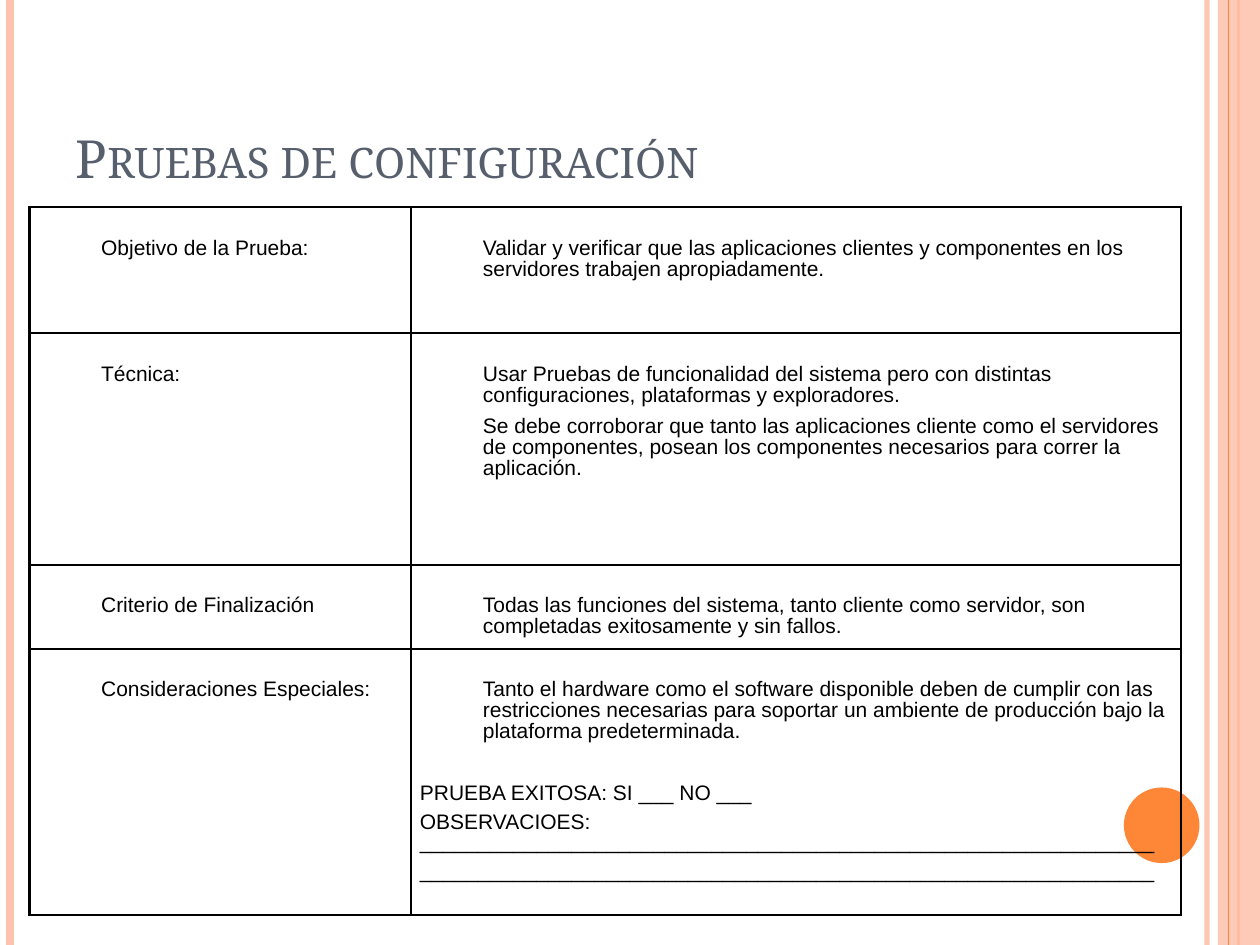
from dataclasses import dataclass
from typing import NamedTuple

from lxml import etree
from pptx import Presentation
from pptx.dml.color import RGBColor
from pptx.enum.shapes import MSO_CONNECTOR, MSO_SHAPE
from pptx.enum.text import MSO_ANCHOR, MSO_AUTO_SIZE, PP_ALIGN
from pptx.oxml.ns import qn
from pptx.util import Pt

LINE = MSO_CONNECTOR.STRAIGHT
RECT = MSO_SHAPE.RECTANGLE
OVAL = MSO_SHAPE.OVAL
LEFT = PP_ALIGN.LEFT
TOP = MSO_ANCHOR.TOP
BOTTOM = MSO_ANCHOR.BOTTOM
FIXED = MSO_AUTO_SIZE.NONE


@dataclass(frozen=True)
class Theme:
    peach: str = "FEC3AE"
    orange: str = "FE8637"
    slate: str = "575F6D"
    ink: str = "000000"
    head: str = "Noto Serif"
    body: str = "Arial"
    big: float = 30
    small: float = 12
    thin: float = 1
    thick: float = 1.5


class Stripe(NamedTuple):
    x: float
    width: float
    color: str
    alpha: int = 100


class Block(NamedTuple):
    kind: int
    box: tuple[float, float, float, float]
    color: str
    alpha: int = 100


class Para(NamedTuple):
    text: str
    indent: float = 36
    lead: float = 12
    before: float = 0


class Row(NamedTuple):
    height: float
    label: str
    paras: list[Para]


T = Theme()
WIDE, HIGH = 720, 540
BACK = [
    Stripe(689.76, 3, T.peach, 93),
    Stripe(5.76, 4.5, T.peach),
    Stripe(707.76, 1.5, T.orange),
    Block(RECT, (696, 0, 24, HIGH), T.peach, 87),
    Stripe(702, 0.75, T.orange),
    Block(OVAL, (642.24, 450, 43.2, 43.2), T.orange),
]
RULE = "_" * 63
COLS = [218.16, 439.92]
ROWS = [
    Row(72, "Objetivo de la Prueba:", [
        Para("Validar y verificar que las aplicaciones clientes y componentes "
             "en los servidores trabajen apropiadamente."),
    ]),
    Row(132.48, "Técnica:", [
        Para("Usar Pruebas de funcionalidad del sistema pero con distintas "
             "configuraciones, plataformas y exploradores."),
        Para("Se debe corroborar que tanto las aplicaciones cliente como el "
             "servidores de componentes, posean los componentes necesarios "
             "para correr la aplicación."),
    ]),
    Row(48, "Criterio de Finalización", [
        Para("Todas las funciones del sistema, tanto cliente como servidor, "
             "son completadas exitosamente y sin fallos."),
    ]),
    Row(152, "Consideraciones Especiales:", [
        Para("Tanto el hardware como el software disponible deben de cumplir "
             "con las restricciones necesarias para soportar un ambiente de "
             "producción bajo la plataforma predeterminada."),
        Para("PRUEBA EXITOSA: SI ___ NO ___", 0, 11, 18),
        Para(f"OBSERVACIOES: {RULE}", 0, 11),
        Para(RULE, 0, 11),
    ]),
]


def rgb(color: str) -> RGBColor:
    return RGBColor.from_string(color)


def fade(shape, alpha: int) -> None:
    if alpha < 100:
        for node in shape._element.spPr.iter(qn("a:srgbClr")):
            etree.SubElement(node, qn("a:alpha")).set("val", str(alpha * 1000))


def draw_stripe(slide, item: Stripe) -> None:
    line = slide.shapes.add_connector(LINE, Pt(item.x), 0, Pt(item.x), Pt(HIGH))
    line.line.color.rgb = rgb(item.color)
    line.line.width = Pt(item.width)
    fade(line, item.alpha)
    etree.SubElement(line._element.spPr, qn("a:effectLst"))


def draw_block(slide, item: Block) -> None:
    shape = slide.shapes.add_shape(item.kind, *map(Pt, item.box))
    shape.shadow.inherit = False
    shape.fill.solid()
    shape.fill.fore_color.rgb = rgb(item.color)
    shape.line.fill.background()
    fade(shape, item.alpha)


def style(para, face: str, size: float, color: str) -> None:
    para.alignment = LEFT
    for run in para.runs:
        run.font.name = face
        run.font.size = Pt(size)
        run.font.color.rgb = rgb(color)


def draw_title(slide, text: str) -> None:
    title = slide.shapes.title
    title.left, title.top, title.width, title.height = map(
        Pt, (36, 21.6, 588.24, 90))
    frame = title.text_frame
    frame.text = text
    frame.auto_size = FIXED
    frame.vertical_anchor = BOTTOM
    para = frame.paragraphs[0]
    style(para, T.head, T.big, T.slate)
    para.runs[0]._r.get_or_add_rPr().set("cap", "small")


def edge(cell, sides: dict[str, float]) -> None:
    props = cell._tc.get_or_add_tcPr()
    for spot, (side, width) in enumerate(sides.items()):
        line = etree.Element(qn(f"a:ln{side}"), w=str(Pt(width)))
        fill = etree.SubElement(line, qn("a:solidFill"))
        etree.SubElement(fill, qn("a:srgbClr")).set("val", T.ink)
        props.insert(spot, line)


def fill_cell(cell, paras: list[Para]) -> None:
    cell.fill.background()
    cell.vertical_anchor = TOP
    cell.margin_left = cell.margin_right = Pt(5)
    cell.margin_top, cell.margin_bottom = Pt(18), 0
    frame = cell.text_frame
    frame.text = "\n".join(item.text for item in paras)
    for para, item in zip(frame.paragraphs, paras):
        style(para, T.body, T.small, T.ink)
        para.line_spacing = Pt(item.lead)
        para.space_before = Pt(item.before)
        para.space_after = Pt(6)
        props = para._p.get_or_add_pPr()
        props.set("marL", str(Pt(item.indent)))
        props.set("indent", "0")


def draw_table(slide, rows: list[Row]) -> None:
    high = sum(row.height for row in rows)
    table = slide.shapes.add_table(
        len(rows), len(COLS), Pt(16.8), Pt(118.3), Pt(sum(COLS)), Pt(high)).table
    table.first_row = table.horz_banding = False
    for col, width in zip(table.columns, COLS):
        col.width = Pt(width)
    for r, row in enumerate(rows):
        table.rows[r].height = Pt(row.height)
        for c, paras in enumerate([[Para(row.label)], row.paras]):
            cell = table.cell(r, c)
            fill_cell(cell, paras)
            outer = {"L": c == 0, "R": c == len(COLS) - 1,
                     "T": r == 0, "B": r == len(rows) - 1}
            edge(cell, {side: T.thick if out else T.thin
                        for side, out in outer.items()})


def main() -> None:
    deck = Presentation()
    deck.slide_width, deck.slide_height = Pt(WIDE), Pt(HIGH)
    slide = deck.slides.add_slide(deck.slide_layouts[5])
    for item in BACK:
        if isinstance(item, Stripe):
            draw_stripe(slide, item)
        else:
            draw_block(slide, item)
    draw_title(slide, "Pruebas de configuración")
    draw_table(slide, ROWS)
    deck.save("out.pptx")


main()
